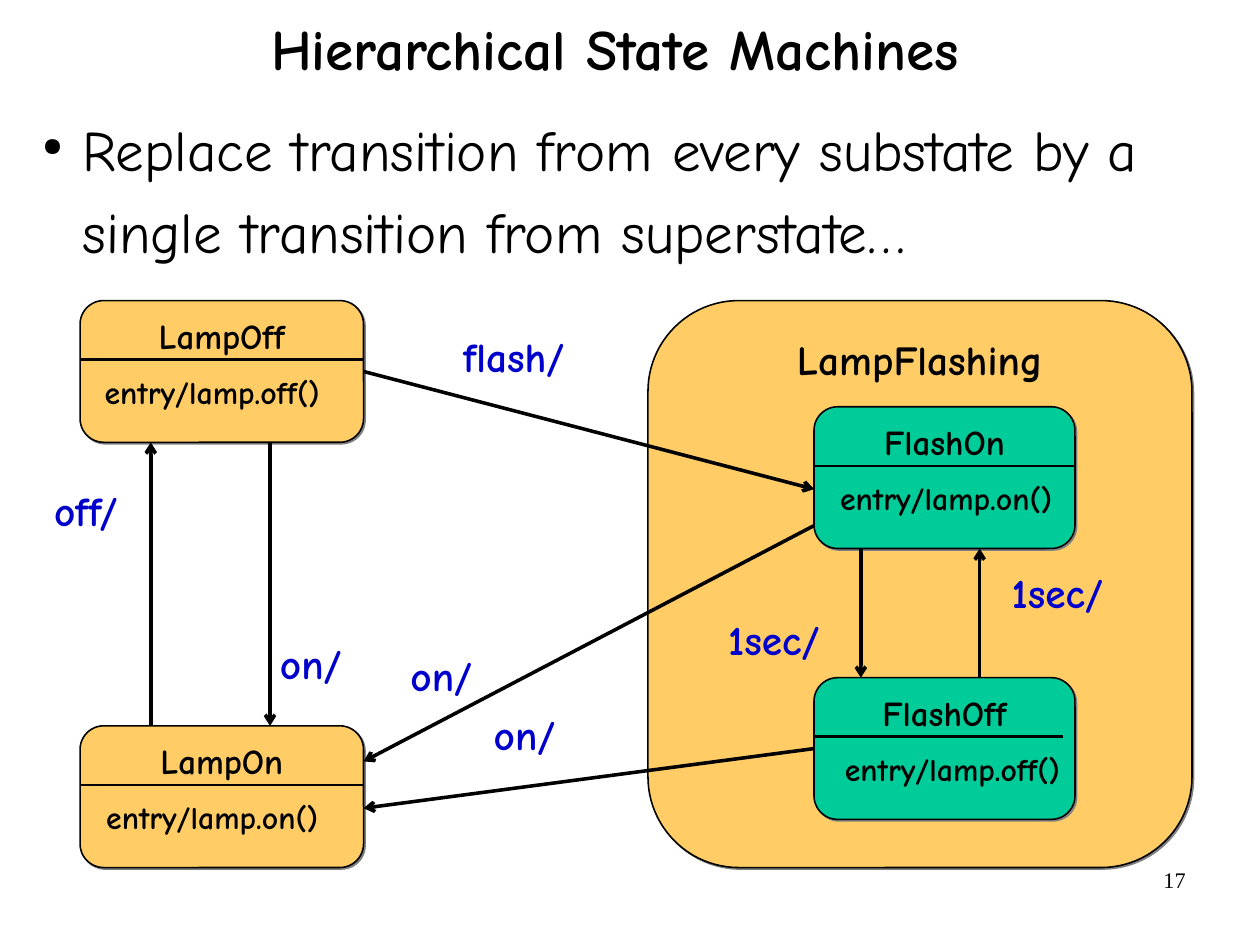
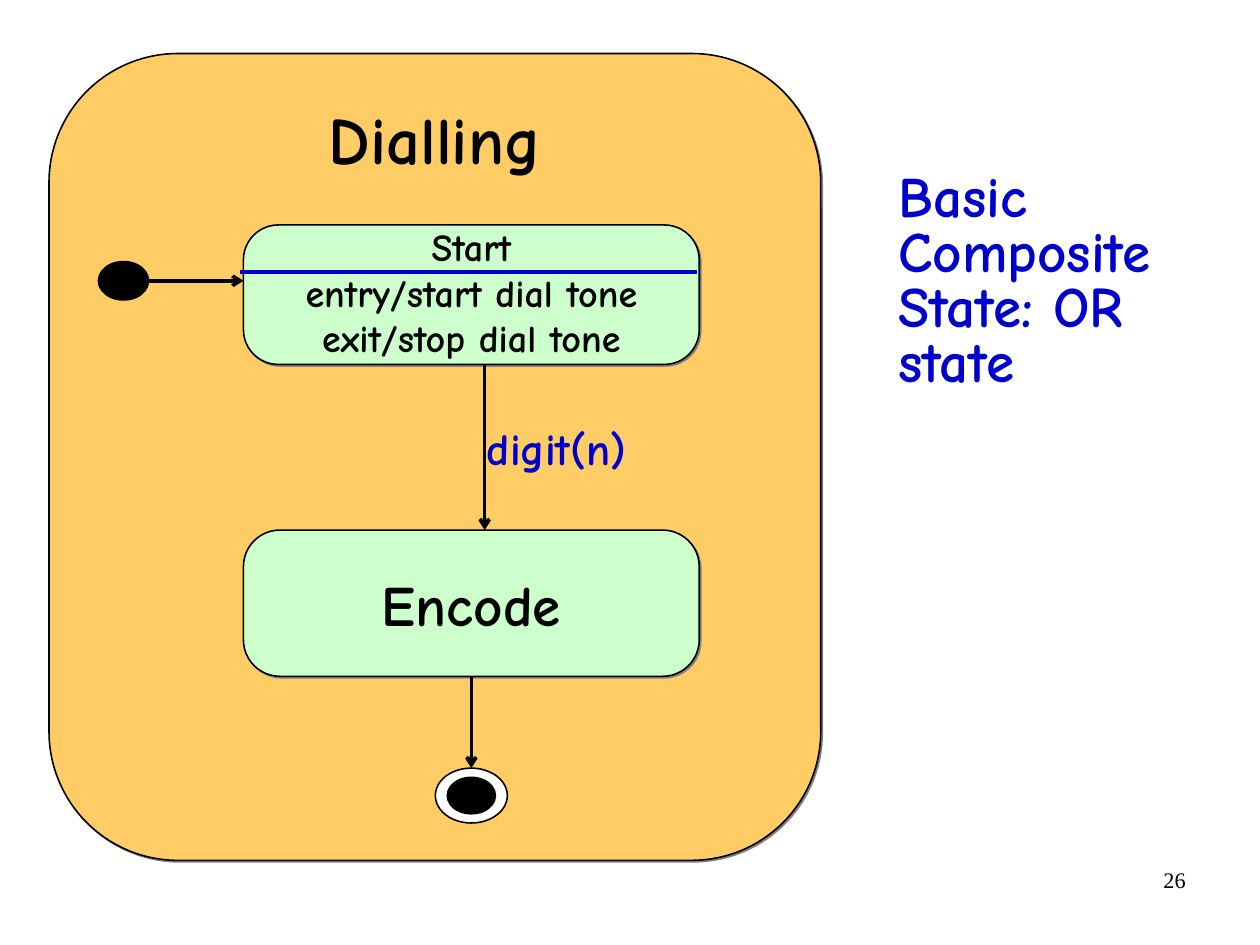
from collections import namedtuple

from lxml.etree import SubElement
from pptx import Presentation
from pptx.dml.color import RGBColor
from pptx.enum.shapes import MSO_CONNECTOR as Connector, MSO_SHAPE as Preset
from pptx.enum.text import MSO_ANCHOR as Anchor, MSO_AUTO_SIZE as AutoSize, PP_ALIGN as Align
from pptx.oxml.ns import qn
from pptx.util import Cm, Pt

COLORS = {
    "black": "000000",
    "white": "FFFFFF",
    "blue": "0000CC",
    "orange": "FFCC66",
    "teal": "00CC99",
    "mint": "CCFFCC",
    "shadow": "808080",
}
FONT = "Comic Neue"
NUMBER_FONT = "Times New Roman"
TOP, LEFT, BOTTOM, RIGHT = range(4)

Box = namedtuple("Box", "left top width height")


def inside(box, left, top, width, height):
    return Box(box.left + left, box.top + top, width, height)


def color(name):
    return RGBColor.from_string(COLORS[name])


def write(shape, lines, size, ink="black", bold=True, font=FONT, align=Align.CENTER,
          anchor=Anchor.MIDDLE, wrap=False, margins=(0.28, 0.15), spacing=None):
    frame = shape.text_frame
    frame.word_wrap = wrap
    frame.auto_size = AutoSize.NONE
    frame.vertical_anchor = anchor
    frame.margin_left = frame.margin_right = Cm(margins[0])
    frame.margin_top = frame.margin_bottom = Cm(margins[1])
    for index, line in enumerate(lines):
        paragraph = frame.paragraphs[0] if index == 0 else frame.add_paragraph()
        paragraph.alignment = align
        if spacing:
            paragraph.line_spacing = spacing
        run = paragraph.add_run()
        run.text = line
        run.font.name = font
        run.font.size = Pt(size)
        run.font.bold = bold
        run.font.color.rgb = color(ink)
    return frame


def add_text(slide, box, lines, size, **style):
    shape = slide.shapes.add_textbox(*map(Cm, box))
    return write(shape, lines, size, **style)


def add_label(slide, area, x, y, text, size=26, **style):
    width, height = 2.6, 1.4
    box = inside(area, x - width / 2, y - height / 2, width, height)
    add_text(slide, box, [text], size, ink="blue", **style)


def add_shape(slide, preset, box, fill, line_width=1, corner=None):
    shape = slide.shapes.add_shape(preset, *map(Cm, box))
    shape.shadow.inherit = False
    shape.fill.solid()
    shape.fill.fore_color.rgb = color(fill)
    shape.line.color.rgb = color("black")
    shape.line.width = Pt(line_width)
    if corner:
        shape.adjustments[0] = corner
    return shape


def add_rounded(slide, box, fill, corner=0.167):
    shape = add_shape(slide, Preset.ROUNDED_RECTANGLE, box, fill, corner=corner)
    effects = shape._element.spPr.find(qn("a:effectLst"))
    shadow = SubElement(effects, qn("a:outerShdw"), dist=str(Pt(1.4)), dir="2700000",
                        algn="ctr", rotWithShape="0")
    SubElement(shadow, qn("a:srgbClr"), val=COLORS["shadow"])
    return shape


def add_line(slide, area, start, end, ink="black", width=2.25, arrow=False):
    points = (area.left + start[0], area.top + start[1],
              area.left + end[0], area.top + end[1])
    connector = slide.shapes.add_connector(Connector.STRAIGHT, *map(Cm, points))
    connector.line.color.rgb = color(ink)
    connector.line.width = Pt(width)
    if arrow:
        SubElement(connector.line._get_or_add_ln(), qn("a:tailEnd"), type="arrow")
    SubElement(connector._element.spPr, qn("a:effectLst"))
    return connector


def add_state(slide, box, name, action, fill, divider=None, action_left=0.27):
    shape = add_rounded(slide, box, fill)
    write(shape, [name], 22, anchor=Anchor.TOP)
    add_line(slide, box, (0, 1.31), (divider or box.width, 1.31), width=1.5)
    add_text(slide, inside(box, action_left, 1.47, 5.34, 1.12), [action], 20)
    return shape


def add_title(slide, text):
    title = slide.shapes.title
    title.left, title.top, title.width, title.height = map(Cm, (1.73, 0, 23.88, 2.34))
    write(title, [text], 36, wrap=True, margins=(0, 0), spacing=0.88)


def add_bullet(slide, box, text):
    frame = add_text(slide, box, [text], 36, bold=False, align=Align.LEFT,
                     anchor=Anchor.TOP, wrap=True, margins=(0, 0), spacing=1.2)
    properties = frame.paragraphs[0]._p.get_or_add_pPr()
    properties.set("marL", str(Cm(1.17)))
    properties.set("indent", str(-Cm(0.89)))
    bullet_color = SubElement(properties, qn("a:buClr"))
    SubElement(bullet_color, qn("a:srgbClr"), val=COLORS["black"])
    SubElement(properties, qn("a:buSzPct"), val="45000")
    SubElement(properties, qn("a:buChar"), char="●")


def add_number(slide, number):
    add_text(slide, Box(20.07, 19.13, 6.53, 1.45), [number], 14, bold=False,
             font=NUMBER_FONT, align=Align.RIGHT, anchor=Anchor.TOP, wrap=True,
             margins=(0.25, 0.13))


def add_lamp_diagram(slide, area):
    state_height = 3.15
    lamp_width, flash_width = 6.3, 5.8
    lamp_on_top = area.height - state_height
    flash_left, flash_on_top, flash_off_top = 16.31, 2.36, 8.38
    flash_on_bottom = flash_on_top + state_height
    middle = state_height / 2

    group_left = 12.62
    group_box = inside(area, group_left, 0, area.width - group_left, area.height)
    write(add_rounded(slide, group_box, "orange"), ["LampFlashing"], 26, anchor=Anchor.TOP)

    lamp_off = add_state(slide, inside(area, 0, 0, lamp_width, state_height),
                         "LampOff", "entry/lamp.off()", "orange")
    add_state(slide, inside(area, 0, lamp_on_top, lamp_width, state_height),
              "LampOn", "entry/lamp.on()", "orange")
    add_state(slide, inside(area, flash_left, flash_on_top, flash_width, state_height),
              "FlashOn", "entry/lamp.on()", "teal")
    flash_off = add_state(
        slide, inside(area, flash_left, flash_off_top, flash_width, state_height),
        "FlashOff", "entry/lamp.off()", "teal", divider=5.54, action_left=0.41)

    transitions = [
        ((lamp_width, middle), (flash_left, 4.19), "flash/", (9.64, 1.24), lamp_off, RIGHT),
        ((17.35, flash_on_bottom), (17.35, flash_off_top), "1sec/", (15.42, 7.52), None, None),
        ((19.99, flash_off_top), (19.99, flash_on_bottom), "1sec/", (21.72, 6.48), None, None),
        ((1.57, lamp_on_top), (1.57, state_height), "off/", (0.13, 4.65), None, None),
        ((4.22, state_height), (4.22, lamp_on_top), "on/", (5.13, 8.05), None, None),
        ((flash_left, flash_off_top + middle), (lamp_width, 11.28), "on/", (9.88, 9.63),
         flash_off, LEFT),
        ((flash_left, 5), (lamp_width, 10.24), "on/", (8.03, 8.31), None, None),
    ]
    for start, end, text, place, source, side in transitions:
        connector = add_line(slide, area, start, end, arrow=True)
        if source:
            connector.begin_connect(source, side)
        add_label(slide, area, *place, text)


def add_dialling_diagram(slide, area):
    state_left, state_width = 4.32, 10.13
    start_top, start_height = 3.81, 3.1
    encode_top, encode_height = 10.59, 3.25
    center = state_left + state_width / 2
    dot_width, dot_height = 1.07, 0.81
    ring_width, ring_height, ring_top = 1.6, 1.22, 15.88
    dot_left, entry_y = 1.12, 5.05

    write(add_rounded(slide, area, "orange"), ["Dialling"], 42, anchor=Anchor.TOP)

    start_box = inside(area, state_left, start_top, state_width, start_height)
    start = add_rounded(slide, start_box, "mint", 0.25)
    frame = write(start, ["Start", "entry/start dial tone", "exit/stop dial tone"], 24)
    frame.margin_bottom = Cm(0.28)

    encode_box = inside(area, state_left, encode_top, state_width, encode_height)
    encode = add_rounded(slide, encode_box, "mint", 0.25)
    write(encode, ["Encode"], 36)

    add_shape(slide, Preset.OVAL,
              inside(area, dot_left, entry_y - dot_height / 2, dot_width, dot_height),
              "black", 2.25)
    add_line(slide, area, (dot_left + dot_width, entry_y), (state_left, entry_y), arrow=True)

    digit_x = 9.68
    add_line(slide, area, (digit_x, start_top + start_height), (digit_x, encode_top), arrow=True)

    ring_box = inside(area, center - ring_width / 2, ring_top, ring_width, ring_height)
    ring = add_shape(slide, Preset.OVAL, ring_box, "white")
    add_shape(slide, Preset.OVAL,
              inside(ring_box, (ring_width - dot_width) / 2, (ring_height - dot_height) / 2,
                     dot_width, dot_height), "black")
    finish = add_line(slide, area, (center, encode_top + encode_height),
                      (center, ring_top), arrow=True)
    finish.begin_connect(encode, BOTTOM)
    finish.end_connect(ring, TOP)

    add_line(slide, area, (4.24, 4.85), (14.4, 4.85), ink="blue")
    add_label(slide, area, 11.28, 8.86, "digit(n)", 28, spacing=0.8)


def build_hierarchy_slide(presentation):
    slide = presentation.slides.add_slide(presentation.slide_layouts[5])
    add_title(slide, "Hierarchical State Machines")
    add_bullet(slide, Box(0.66, 2.24, 27.33, 4.2),
               "Replace transition from every substate by a single transition from superstate…")
    add_lamp_diagram(slide, Box(1.78, 6.68, 24.71, 12.6))
    add_number(slide, "17")


def build_composite_slide(presentation):
    slide = presentation.slides.add_slide(presentation.slide_layouts[6])
    add_dialling_diagram(slide, Box(1.09, 1.19, 17.15, 17.93))
    add_text(slide, Box(19.71, 3.73, 7.62, 5.13), ["Basic Composite State: OR state"], 36,
             ink="blue", align=Align.LEFT, anchor=Anchor.TOP, wrap=True,
             margins=(0.25, 0.13), spacing=0.8)
    add_number(slide, "26")


def main():
    presentation = Presentation()
    presentation.slide_width = Cm(28)
    presentation.slide_height = Cm(21)
    build_hierarchy_slide(presentation)
    build_composite_slide(presentation)
    presentation.save("out.pptx")


if __name__ == "__main__":
    main()
